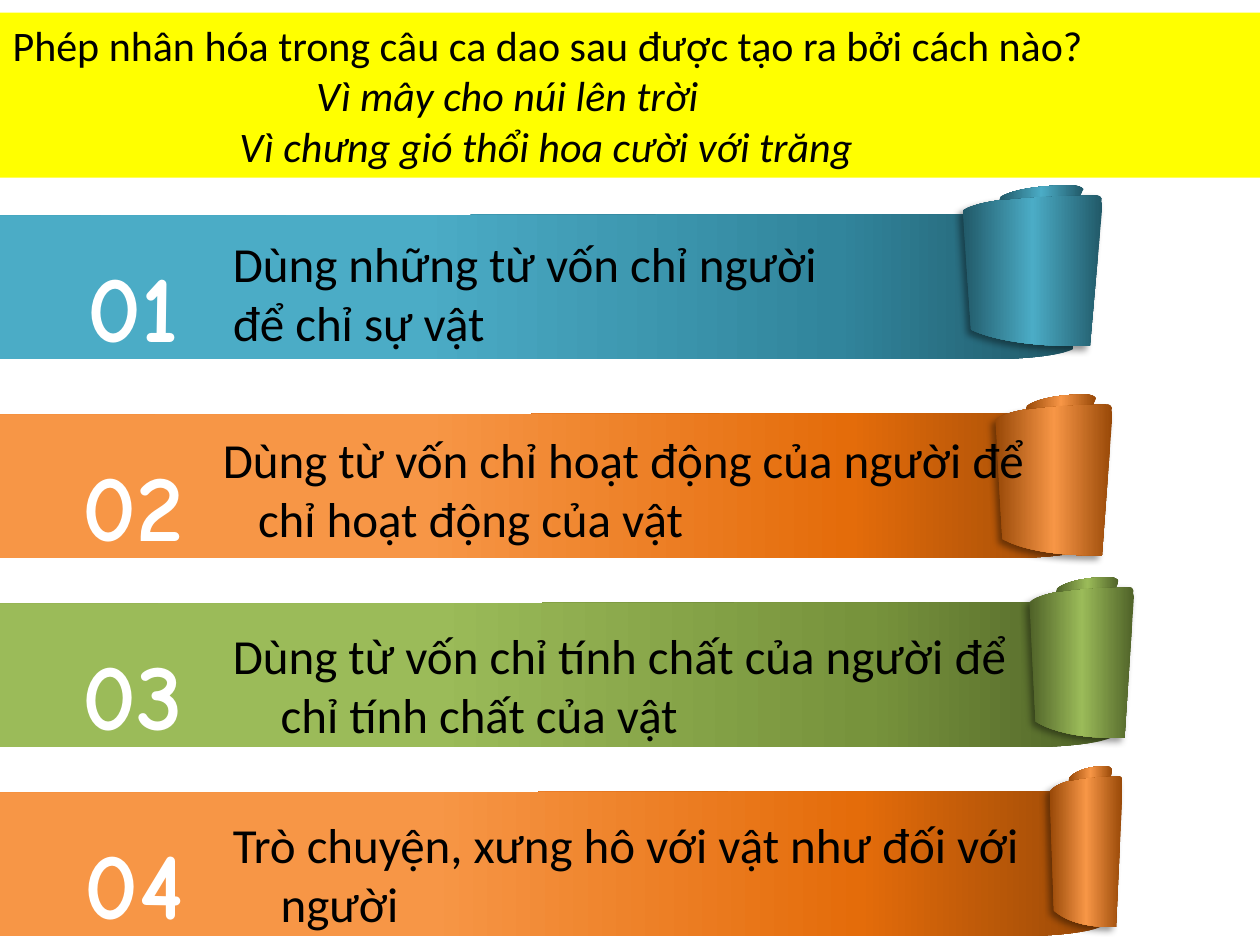
from copy import deepcopy
from dataclasses import dataclass

from lxml.etree import SubElement
from pptx import Presentation
from pptx.dml.color import RGBColor
from pptx.enum.text import MSO_ANCHOR as Anchor, MSO_AUTO_SIZE as AutoSize, PP_ALIGN as Align
from pptx.oxml.ns import qn
from pptx.util import Inches, Pt

BLACK = RGBColor(0, 0, 0)
WHITE = RGBColor(255, 255, 255)
YELLOW = RGBColor(255, 255, 0)


@dataclass(frozen=True)
class Palette:
    dark: RGBColor
    middle: RGBColor
    light: RGBColor


@dataclass(frozen=True)
class Box:
    left: float
    top: float
    width: float
    height: float


@dataclass(frozen=True)
class Answer:
    number: str
    text: str
    palette: Palette
    ribbon: Box
    curl: Box
    roll: Box
    label: Box
    body: Box
    hanging: float = 0.38
    first: float = -0.38


TEAL = Palette(RGBColor(0x21, 0x59, 0x68), RGBColor(0x31, 0x85, 0x9C), RGBColor(0x4B, 0xAC, 0xC6))
ORANGE = Palette(RGBColor(0x98, 0x48, 0x07), RGBColor(0xE4, 0x6C, 0x0A), RGBColor(0xF7, 0x96, 0x46))
GREEN = Palette(RGBColor(0x4F, 0x62, 0x28), RGBColor(0x77, 0x93, 0x3C), RGBColor(0x9B, 0xBB, 0x59))

# Outlines as shares of their box: one point is a line, three are a curve
RIBBON = [[(0, 0.01)], [(0, 1)], [(0.92, 1)],
          [(0.96, 1), (0.99, 0.97), (1, 0.93)],
          [(1, 0.62), (0.99, 0.31), (0.99, 0)]]
CURL = [[(0.91, 1)], [(0.68, 1), (0.3, 0.99), (0.06, 0.89)], [(0, 0.1)],
        [(0.16, 0.01), (0.67, 0), (0.93, 0)],
        [(1.04, 0), (0.97, 0.04), (1, 0.06)]]
ROLL = [[(0, 1)], [(0.02, 0.75)], [(0.24, 0.08), (0.69, 0), (0.84, 0)],
        [(0.91, 0), (0.98, 0.08), (1, 0.25)], [(0.96, 0.67)],
        [(0.72, 0.67), (0.33, 0.75), (0, 1)]]

RIBBON_H, CURL_H, ROLL_H, LABEL_H, BODY_H = 1.15, 1.2, 0.12, 1.01, 1.04


def answer(number: str, text: str, palette: Palette, top: float, ribbon: tuple, curl: tuple,
           roll: tuple, body: tuple, label_left: float = 0.19, **indent: float) -> Answer:
    """Place one answer; curl and body give left, width and shift from the ribbon's top."""
    curl_top = top + curl[2]
    return Answer(number, text, palette,
                  Box(ribbon[0], top, ribbon[1], RIBBON_H),
                  Box(curl[0], curl_top, curl[1], CURL_H),
                  Box(roll[0], curl_top - 0.08, roll[1], ROLL_H),
                  Box(label_left, top + 0.21, 1.73, LABEL_H),
                  Box(body[0], top + body[2], body[1], BODY_H), **indent)


ANSWERS = [
    answer("01", "Dùng những từ vốn chỉ người để chỉ sự vật", TEAL, 1.7, (-0.02, 8.54),
           (7.64, 1.11, -0.15), (7.93, 0.67), (1.75, 5.25, 0.1), hanging=0, first=0),
    answer("02", "Dùng từ vốn chỉ hoạt động của người để chỉ hoạt động của vật", ORANGE, 3.28,
           (-0.02, 8.68), (7.9, 0.93, -0.07), (8.14, 0.56), (1.58, 6.84, 0.08),
           hanging=0.37, first=-0.28),
    answer("03", "Dùng từ vốn chỉ tính chất của người để chỉ tính chất của vật", GREEN, 4.78,
           (-0.02, 8.85), (8.17, 0.83, -0.12), (8.38, 0.5), (1.75, 6.56, 0.13)),
    answer("04", "Trò chuyện, xưng hô với vật như đối với người", ORANGE, 6.28, (0, 8.75),
           (8.33, 0.58, -0.12), (8.48, 0.35), (1.75, 6.57, 0.13), label_left=0.2),
]


def add_outline(shapes, outline: list, box: Box, stops: list):
    """Draw an outline with a gradient that runs from right to left."""
    parts = [[(Inches(box.left + x * box.width), Inches(box.top + y * box.height))
              for x, y in part] for part in outline]
    ends = [part[-1] for part in parts]
    builder = shapes.build_freeform(*ends[0])
    builder.add_line_segments(ends[1:], close=True)
    shape = builder.convert_to_shape()
    # Bend the segments that have control points
    left, top = (min(end[axis] for end in ends) for axis in (0, 1))
    segments = list(shape._element.spPr.find(".//" + qn("a:path")))
    for segment, part in zip(segments, parts):
        if len(part) == 3:
            segment.clear()
            segment.tag = qn("a:cubicBezTo")
            for x, y in part:
                SubElement(segment, qn("a:pt"), x=str(x - left), y=str(y - top))
    shape.shadow.inherit = False
    shape.line.fill.background()
    shape.fill.gradient()
    shape.fill.gradient_angle = 180
    stop_list = shape._element.spPr.find(".//" + qn("a:gsLst"))
    while len(stop_list) < len(stops):
        stop_list.append(deepcopy(stop_list[0]))
    for stop, (position, color) in zip(shape.fill.gradient_stops, stops):
        stop.position = position
        stop.color.rgb = color
    return shape


def add_shadow(shape) -> None:
    effects = shape._element.spPr.find(qn("a:effectLst"))
    shadow = SubElement(effects, qn("a:outerShdw"), blurRad=str(Pt(4)), dist=str(Pt(3)),
                        dir=str(135 * 60000), algn="tr", rotWithShape="0")
    color = SubElement(shadow, qn("a:srgbClr"), val=str(BLACK))
    SubElement(color, qn("a:alpha"), val="40000")


def set_indent(para, hanging: float, first: float = 0) -> None:
    properties = para._p.get_or_add_pPr()
    properties.set("marL", str(Inches(hanging)))
    properties.set("indent", str(Inches(first)))


def style(para, name: str, size: float, color: RGBColor, align=Align.LEFT) -> None:
    para.alignment = align
    para.font.name = name
    para.font.size = Pt(size)
    para.font.color.rgb = color


def add_text(page, box: Box, text: str):
    shape = page.shapes.add_textbox(*(Inches(n) for n in (box.left, box.top, box.width, box.height)))
    frame = shape.text_frame
    frame.word_wrap = True
    frame.auto_size = AutoSize.SHAPE_TO_FIT_TEXT
    frame.vertical_anchor = Anchor.MIDDLE
    frame.text = text
    return frame.paragraphs[0]


def add_question(page, deck) -> None:
    title = page.shapes.title
    title.left, title.top = 0, Inches(0.1)
    title.width, title.height = deck.slide_width, Inches(1.31)
    title.fill.solid()
    title.fill.fore_color.rgb = YELLOW
    frame = title.text_frame
    frame.auto_size = AutoSize.SHAPE_TO_FIT_TEXT
    frame.vertical_anchor = Anchor.MIDDLE
    lines = [("Phép nhân hóa trong câu ca dao sau được tạo ra bởi cách nào?", 0, False),
             ("Vì mây cho núi lên trời", 2.41, True),
             ("Vì chưng gió thổi hoa cười với trăng", 1.8, True)]
    frame.text = "\n".join(text for text, _, _ in lines)
    for para, (_, indent, italic) in zip(frame.paragraphs, lines):
        set_indent(para, indent)
        style(para, "Calibri", 24, BLACK)
        para.font.italic = italic


def add_answer(page, item: Answer) -> None:
    colors = item.palette
    # Ribbon with its curled end
    add_outline(page.shapes, RIBBON, item.ribbon,
                [(0, colors.dark), (0.22, colors.middle), (0.61, colors.light)])
    rounded = [(0, colors.dark), (0.5, colors.light), (1, colors.dark)]
    group = page.shapes.add_group_shape()
    add_shadow(add_outline(group.shapes, CURL, item.curl, rounded))
    add_outline(group.shapes, ROLL, item.roll, rounded)
    # Number and answer
    number = add_text(page, item.label, item.number)
    style(number, "Comic Neue", 54, WHITE, Align.CENTER)
    number.font.bold = True
    body = add_text(page, item.body, item.text)
    set_indent(body, item.hanging, item.first)
    style(body, "Calibri", 28, BLACK)


def main() -> None:
    deck = Presentation()
    deck.slide_width, deck.slide_height = Inches(10), Inches(7.5)
    page = deck.slides.add_slide(deck.slide_layouts[5])
    add_question(page, deck)
    for item in ANSWERS:
        add_answer(page, item)
    deck.save("out.pptx")


if __name__ == "__main__":
    main()
